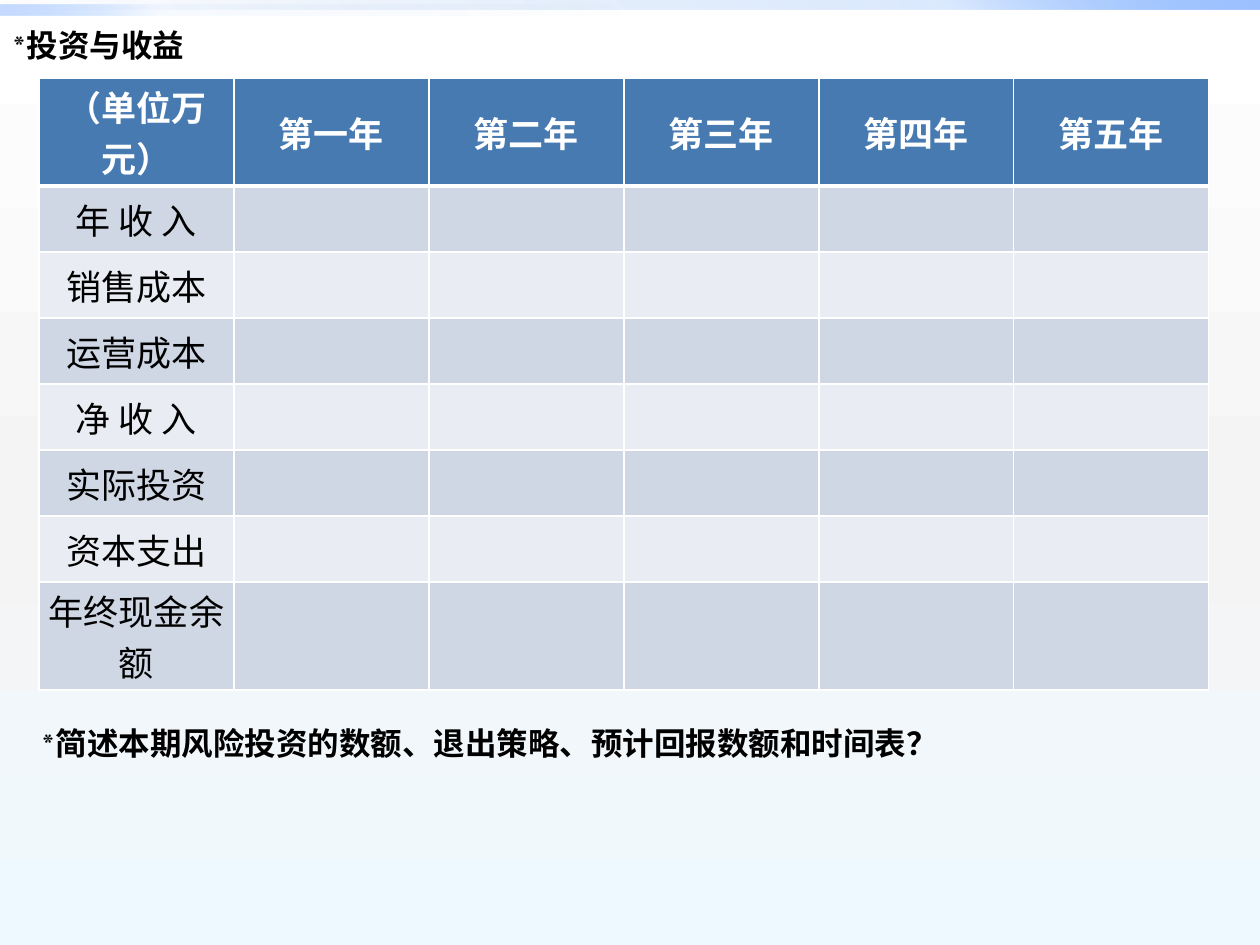
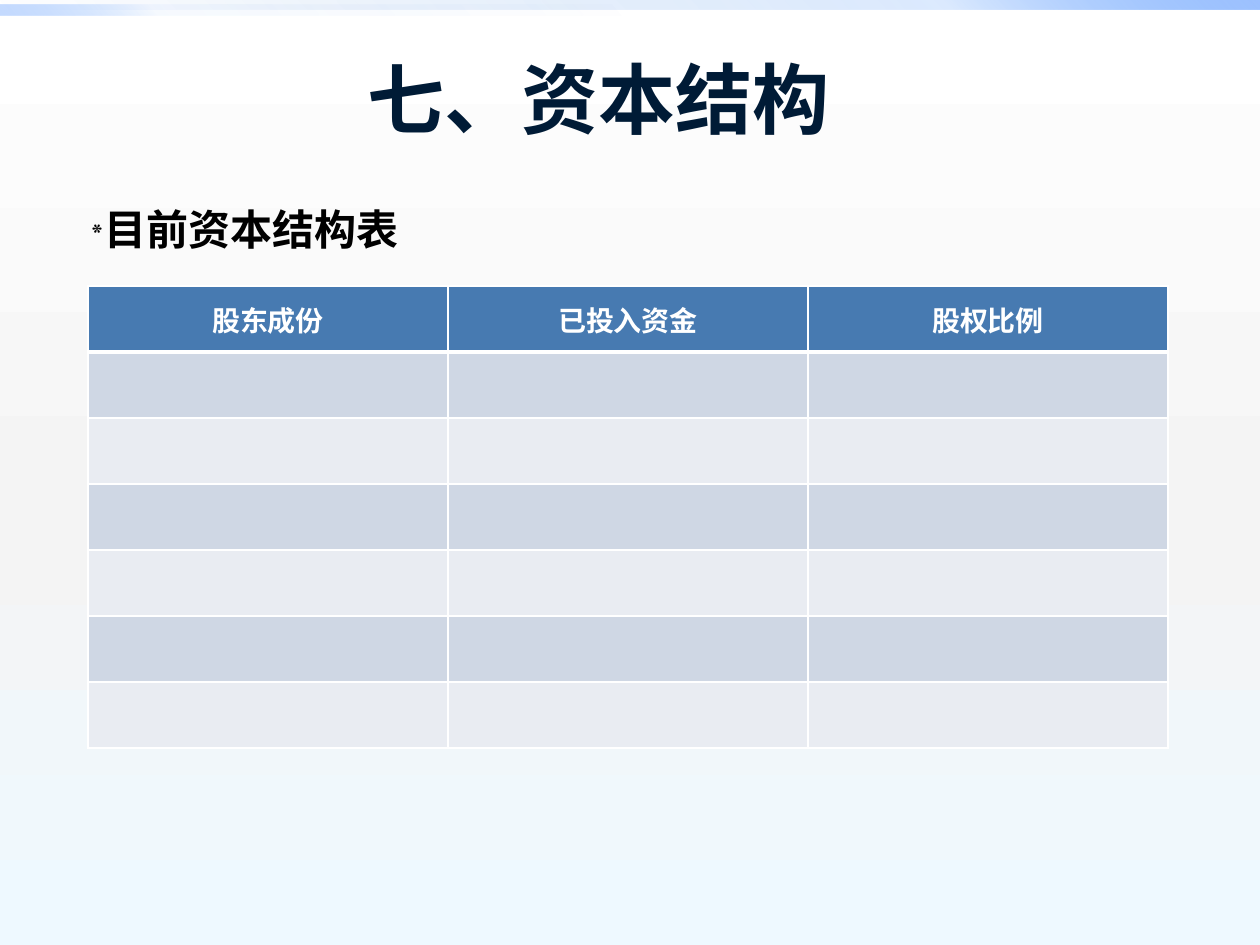
"""Builds two business-plan slides: investment and returns, and capital structure."""
from lxml import etree
from pptx import Presentation, util as u
from pptx.dml.color import RGBColor
from pptx.enum import shapes, text
from pptx.oxml.ns import qn

PX = 914400 // 126
NAVY = RGBColor(0x00, 0x1B, 0x36)
BLACK = RGBColor(0x00, 0x00, 0x00)
WHITE = RGBColor(0xFF, 0xFF, 0xFF)
HEADER_BLUE = RGBColor(0x47, 0x7A, 0xB1)
ROW_DARK = RGBColor(0xCF, 0xD7, 0xE4)
ROW_LIGHT = RGBColor(0xE9, 0xEC, 0xF2)
DEEP_BLUE = RGBColor(0x00, 0x58, 0xB7)
MID_BLUE = RGBColor(0x4F, 0x95, 0xFF)
PALE_BLUE = RGBColor(0x9E, 0xC2, 0xFF)
OFF_WHITE = RGBColor(0xF4, 0xF4, 0xF4)
ICE = RGBColor(0xEE, 0xF9, 0xFF)

BACKDROP = [(0, WHITE, 100), (55, OFF_WHITE, 100), (100, ICE, 100)]
BANDS = [
    ((0, 0, 1260, 10), 45, [(0, DEEP_BLUE, 0), (75, MID_BLUE, 20), (100, PALE_BLUE, 100)]),
    ((0, 5, 630, 10), 225, [(0, DEEP_BLUE, 0), (75, MID_BLUE, 5), (100, PALE_BLUE, 60)]),
]


def paint_gradient(fill, element, angle, stops):
    fill.gradient()
    fill.gradient_angle = angle
    stop_list = next(element.iter(qn("a:gsLst")))
    for old_stop in list(stop_list):
        stop_list.remove(old_stop)
    for position, colour, opacity in stops:
        stop = etree.SubElement(stop_list, qn("a:gs"), pos=str(position * 1000))
        tint = etree.SubElement(stop, qn("a:srgbClr"), val=str(colour))
        etree.SubElement(tint, qn("a:alpha"), val=str(opacity * 1000))


def format_paragraph(paragraph, font_name, size, colour, bold):
    font = paragraph.font
    font.name, font.size, font.bold = font_name, u.Pt(size), bold
    font.color.rgb = colour


deck = Presentation()
deck.slide_width, deck.slide_height = 1260 * PX, 945 * PX
master = deck.slide_master
paint_gradient(master.background.fill, master.element, 270, BACKDROP)

PAGES = [
    {
        "title": None,
        "origin": (39, 78),
        "column": 195,
        "rows": [108] + [66] * 6 + [108],
        "size": 20,
        "header": ["（单位万元）", "第一年", "第二年", "第三年", "第四年", "第五年"],
        "labels": ["年 收 入", "销售成本", "运营成本", "净 收 入", "实际投资", "资本支出", "年终现金余额"],
        "notes": [
            ((0, 20, 423, 51), 18, "投资与收益"),
            ((29, 718, 1142, 51), 18, "简述本期风险投资的数额、退出策略、预计回报数额和时间表？"),
        ],
    },
    {
        "title": "七、资本结构",
        "origin": (88, 286),
        "column": 360,
        "rows": [66] * 7,
        "size": 16,
        "header": ["股东成份", "已投入资金", "股权比例"],
        "labels": [""] * 6,
        "notes": [((78, 197, 906, 63), 24, "目前资本结构表")],
    },
]

for page in PAGES:
    slide = deck.slides.add_slide(deck.slide_layouts[5 if page["title"] else 6])

    for box, angle, stops in BANDS:
        band = slide.shapes.add_shape(shapes.MSO_SHAPE.RECTANGLE, *[n * PX for n in box])
        band.shadow.inherit = False
        band.line.fill.background()
        paint_gradient(band.fill, band.element.spPr, angle, stops)

    if page["title"]:
        title = slide.shapes.title
        title.left, title.top, title.width, title.height = 0, 0, 1197 * PX, 195 * PX
        title.text_frame.text = page["title"]
        title.text_frame.vertical_anchor = text.MSO_ANCHOR.MIDDLE
        title.text_frame.paragraphs[0].alignment = text.PP_ALIGN.CENTER
        format_paragraph(title.text_frame.paragraphs[0], "Lato", 44, NAVY, True)

    header, heights = page["header"], page["rows"]
    left, top = page["origin"]
    table = slide.shapes.add_table(
        len(heights), len(header), left * PX, top * PX,
        page["column"] * len(header) * PX, sum(heights) * PX).table
    for column in table.columns:
        column.width = page["column"] * PX
    for row, height in zip(table.rows, heights):
        row.height = height * PX

    contents = [header] + [[label] + [""] * (len(header) - 1) for label in page["labels"]]
    for r, words in enumerate(contents):
        for c, word in enumerate(words):
            cell = table.cell(r, c)
            cell.text = word
            cell.vertical_anchor = text.MSO_ANCHOR.MIDDLE
            cell.margin_left = cell.margin_right = 9 * PX
            cell.margin_top = cell.margin_bottom = 0
            paragraph = cell.text_frame.paragraphs[0]
            paragraph.alignment = text.PP_ALIGN.CENTER
            format_paragraph(paragraph, "Times New Roman", page["size"],
                             BLACK if r else WHITE, r == 0)
            for side in "LRTB":
                under_header = (r, side) in [(0, "B"), (1, "T")]
                border = etree.SubElement(cell._tc.get_or_add_tcPr(), qn("a:ln" + side),
                                          w=str(u.Pt(3 if under_header else 1)))
                ink = etree.SubElement(border, qn("a:solidFill"))
                etree.SubElement(ink, qn("a:srgbClr"), val=str(WHITE))
            cell.fill.solid()
            cell.fill.fore_color.rgb = (ROW_DARK if r % 2 else ROW_LIGHT) if r else HEADER_BLUE

    for box, size, words in page["notes"]:
        note = slide.shapes.add_textbox(*[n * PX for n in box]).text_frame
        note.word_wrap = True
        paragraph = note.paragraphs[0]
        format_paragraph(paragraph, "Cambria", size, BLACK, True)
        star = paragraph.add_run()
        star.text = "*"
        star.font.size = u.Pt(18)
        paragraph.add_run().text = words

deck.save("out.pptx")
